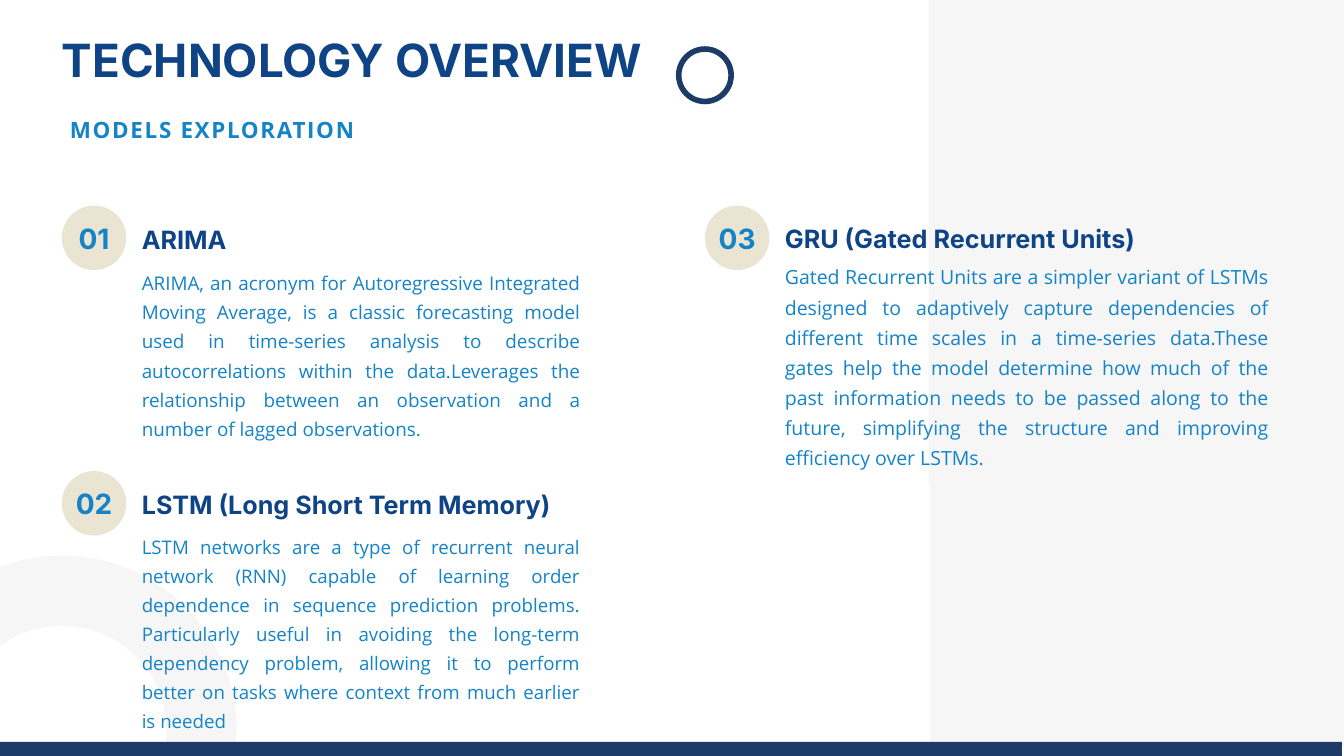
from dataclasses import dataclass
from typing import Optional

import pptx
import pptx.dml.color
import pptx.enum.shapes
import pptx.enum.text
import pptx.oxml.ns
import pptx.util
from lxml import etree

EMU_PER_PX = 9144  # 100 px to the inch
COLORS = {
    "navy": "1C3B66",
    "heading": "0E4385",
    "blue": "1483C8",
    "sand": "EAE4D2",
    "gray": "F6F6F6",
}
SHAPES = pptx.enum.shapes.MSO_SHAPE
ALIGN = pptx.enum.text.PP_ALIGN
ANCHOR = pptx.enum.text.MSO_ANCHOR
BADGE_SIZE = 96
TEXT_INDENT = 119


@dataclass(frozen=True)
class Box:
    left: int
    top: int
    width: int
    height: int


@dataclass(frozen=True)
class Model:
    number: str
    name: str
    description: str
    left: int
    top: int
    name_offset: int
    name_width: int
    description_offset: int
    description_width: int
    description_height: int
    size: float
    spacing: float


MODELS = [
    Model("01", "ARIMA",
          "ARIMA, an acronym for Autoregressive Integrated Moving Average, is a classic "
          "forecasting model used in time-series analysis to describe autocorrelations "
          "within the data.Leverages the relationship between an observation and a number "
          "of lagged observations.",
          92, 306, 20, 533, 88, 652, 260, 20.2, 31.4),
    Model("02", "LSTM (Long Short Term Memory)",
          "LSTM networks are a type of recurrent neural network (RNN) capable of learning "
          "order dependence in sequence prediction problems. Particularly useful in avoiding "
          "the long-term dependency problem, allowing it to perform better on tasks where "
          "context from much earlier is needed",
          92, 701, 20, 640, 87, 652, 298, 20, 31),
    Model("03", "GRU (Gated Recurrent Units)",
          "Gated Recurrent Units are a simpler variant of LSTMs designed to adaptively "
          "capture dependencies of different time scales in a time-series data.These gates "
          "help the model determine how much of the past information needs to be passed "
          "along to the future, simplifying the structure and improving efficiency over LSTMs.",
          1049, 306, 19, 735, 79, 720, 311, 20.9, 32.3),
]


def px(length: int) -> int:
    return length * EMU_PER_PX


def rgb(name: str) -> pptx.dml.color.RGBColor:
    return pptx.dml.color.RGBColor.from_string(COLORS[name])


def place(shape, box: Box) -> None:
    shape.left, shape.top = px(box.left), px(box.top)
    shape.width, shape.height = px(box.width), px(box.height)


def draw_shape(slide, kind, box: Box, *, fill: Optional[str] = None,
               line: Optional[str] = None, line_width: float = 0) -> None:
    shape = slide.shapes.add_shape(kind, px(box.left), px(box.top), px(box.width), px(box.height))
    shape.shadow.inherit = False
    if fill:
        shape.fill.solid()
        shape.fill.fore_color.rgb = rgb(fill)
    else:
        shape.fill.background()
    if line:
        shape.line.color.rgb = rgb(line)
        shape.line.width = pptx.util.Pt(line_width)
    else:
        shape.line.fill.background()


def write(slide, text: str, box: Box, *, size: float, spacing: float, color: str,
          font: str = "Inter", bold: bool = True, align=ALIGN.LEFT, anchor=ANCHOR.TOP,
          tracking: float = 0, placeholder=None) -> None:
    """Write one paragraph into a placeholder brought to the front, or into a new text box."""
    if placeholder is None:
        shape = slide.shapes.add_textbox(0, 0, 0, 0)
    else:
        shape = placeholder
        shape.element.getparent().append(shape.element)
    place(shape, box)
    frame = shape.text_frame
    frame.word_wrap = True
    frame.auto_size = pptx.enum.text.MSO_AUTO_SIZE.NONE
    frame.vertical_anchor = anchor
    frame.margin_left = frame.margin_right = frame.margin_top = frame.margin_bottom = 0

    paragraph = frame.paragraphs[0]
    paragraph.alignment = align
    paragraph.line_spacing = pptx.util.Pt(spacing)
    paragraph.space_before = paragraph.space_after = pptx.util.Pt(0)
    if placeholder is not None:
        properties = paragraph._p.get_or_add_pPr()
        properties.set("marL", "0")
        properties.set("indent", "0")
        etree.SubElement(properties, pptx.oxml.ns.qn("a:buNone"))

    run = paragraph.add_run()
    run.text = text
    run.font.name = font
    run.font.size = pptx.util.Pt(size)
    run.font.bold = bold
    run.font.color.rgb = rgb(color)
    if tracking:
        run._r.get_or_add_rPr().set("spc", str(round(tracking * 100)))


def draw_background(slide) -> None:
    draw_shape(slide, SHAPES.RECTANGLE, Box(1384, 0, 616, 1112), fill="gray")
    draw_shape(slide, SHAPES.OVAL, Box(-116, 879, 416, 416), line="gray", line_width=75)
    draw_shape(slide, SHAPES.RECTANGLE, Box(0, 1104, 1997, 21), fill="navy")
    draw_shape(slide, SHAPES.RECTANGLE, Box(1382, 0, 618, 720), fill="gray")
    draw_shape(slide, SHAPES.OVAL, Box(1010, 73, 78, 78), line="navy", line_width=6)


def draw_model(slide, model: Model, placeholder) -> None:
    draw_shape(slide, SHAPES.OVAL, Box(model.left, model.top, BADGE_SIZE, BADGE_SIZE), fill="sand")
    write(slide, model.number, Box(model.left + 9, model.top + 2, 78, 85), size=30, spacing=42,
          color="blue", align=ALIGN.CENTER, anchor=ANCHOR.MIDDLE)
    text_left = model.left + TEXT_INDENT
    write(slide, model.name, Box(text_left, model.top + model.name_offset, model.name_width, 51),
          size=27, spacing=37.8, color="heading")
    write(slide, model.description,
          Box(text_left, model.top + model.description_offset,
              model.description_width, model.description_height),
          size=model.size, spacing=model.spacing, color="blue", font="Open Sans", bold=False,
          align=ALIGN.JUSTIFY, placeholder=placeholder)


def main() -> None:
    presentation = pptx.Presentation()
    presentation.slide_width, presentation.slide_height = px(2000), px(1125)
    comparison_layout = presentation.slide_layouts[4]  # a title and four bodies
    slide = presentation.slides.add_slide(comparison_layout)
    title, subtitle, *descriptions = list(slide.placeholders)

    draw_background(slide)
    write(slide, "TECHNOLOGY OVERVIEW", Box(92, 57, 907, 74), size=49, spacing=51.5,
          color="heading", placeholder=title)
    write(slide, "MODELS EXPLORATION", Box(104, 166, 746, 43), size=24, spacing=33.6,
          color="blue", font="Open Sans", tracking=1.8, placeholder=subtitle)
    for model, description in zip(MODELS, descriptions):
        draw_model(slide, model, description)
    presentation.save("out.pptx")


if __name__ == "__main__":
    main()
